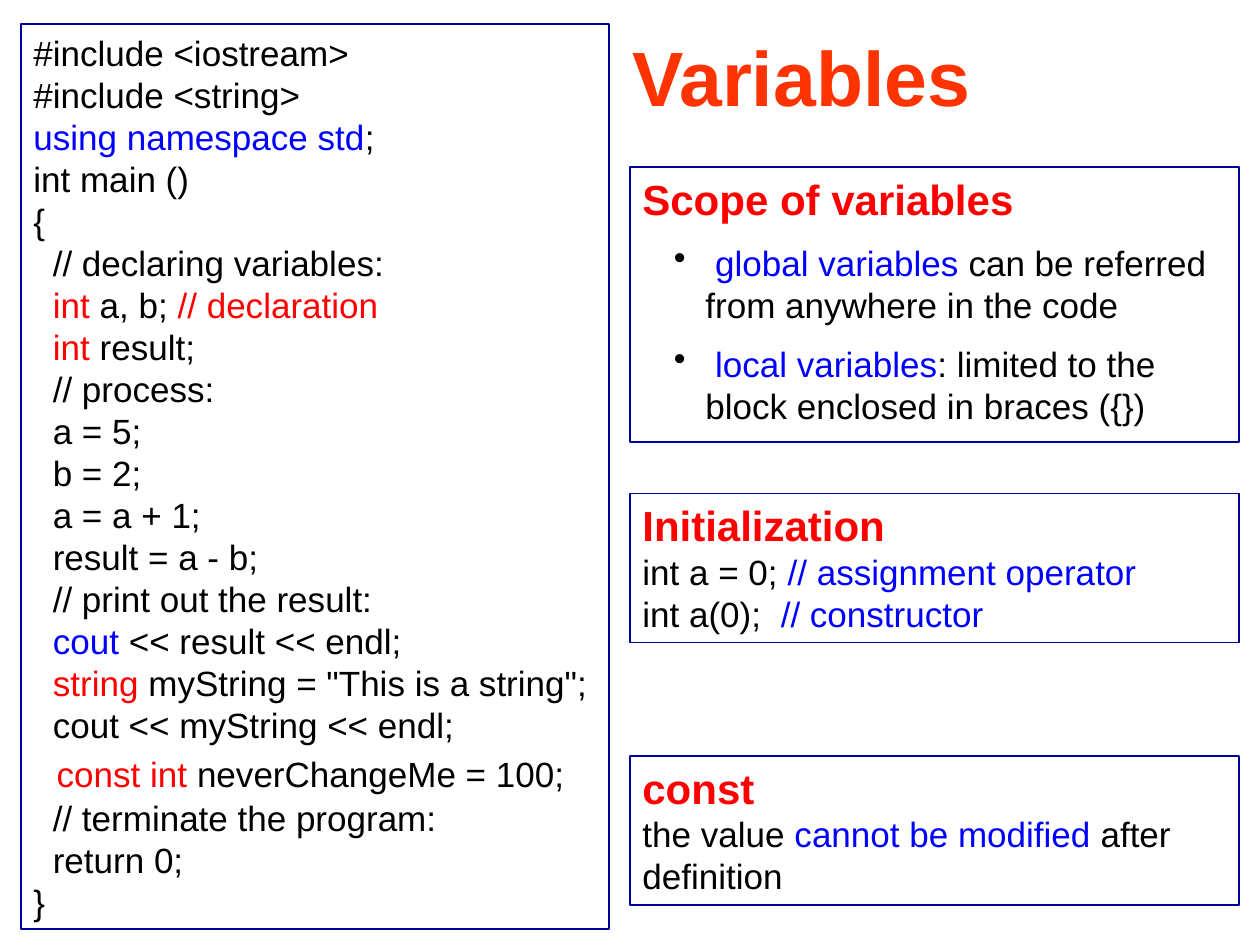
import pptx
import pptx.util
import pptx.dml.color
import pptx.enum.shapes
import pptx.enum.text
import lxml.etree

THEME = {
    "font": "Arial",
    "title": (44, "FF3300", True),
    "heading": (24, "FF0000", True),
    "plain": (20, "000000", False),
    "blue": (20, "0000FF", False),
    "red": (20, "FF0000", False),
    "wide": (24, "000000", False),
    "border": "000099",
}
CELL = pptx.util.Inches(10) / 60  # the slide is a grid of 60 columns by 45 rows
ANCHOR = pptx.enum.text.MSO_ANCHOR


def add_spans(para, spans):
    """Add (text, style) pairs to a paragraph; a bare string is plain text."""
    for item in spans:
        text, style = (item, "plain") if isinstance(item, str) else item
        size, color, bold = THEME[style]
        span = para.add_run()
        span.text = text
        span.font.name = THEME["font"]
        span.font.size = pptx.util.Pt(size)
        span.font.bold = bold
        span.font.color.rgb = pptx.dml.color.RGBColor.from_string(color)


deck = pptx.Presentation()
deck.slide_width = pptx.util.Inches(10)
deck.slide_height = pptx.util.Inches(7.5)
page = deck.slides.add_slide(deck.slide_layouts[5])

title = page.shapes.title
title.left, title.top, title.width, title.height = (
    round(n * CELL) for n in (29.5, 1.5, 26.5, 4.25))
title.text_frame.vertical_anchor = ANCHOR.MIDDLE
title.text_frame.auto_size = pptx.enum.text.MSO_AUTO_SIZE.NONE
title_para = title.text_frame.paragraphs[0]
title_para.alignment = pptx.enum.text.PP_ALIGN.LEFT
add_spans(title_para, [("Variables", "title")])

code = [
    ["#include <iostream>"],
    ["#include <string>"],
    [("using namespace std", "blue"), ";"],
    ["int main ()"],
    ["{"],
    ["  // declaring variables:"],
    [("  int ", "red"), "a, b; ", ("// declaration", "red")],
    [("  int", "red"), " result;"],
    ["  // process:"],
    ["  a = 5;"],
    ["  b = 2;"],
    ["  a = a + 1;"],
    ["  result = a - b;"],
    ["  // print out the result:"],
    [("  cout", "blue"), " << result << endl;"],
    ["  ", ("string", "red"), ' myString = "This is a string";'],
    ["  cout << myString << endl;"],
    [("  ", "wide"), ("const int", "red"), " neverChangeMe = 100;"],
    ["  // terminate the program:"],
    ["  return 0;"],
    ["}"],
]
scope = [
    [("Scope of variables", "heading")],
    [" ", ("global variables", "blue"), " can be referred from anywhere in the code"],
    [" ", ("local variables", "blue"), ": limited to the block enclosed in braces ({})"],
]
initialization = [
    [("Initialization", "heading")],
    ["int a = 0; ", ("// assignment operator", "blue")],
    ["int a(0);  ", ("// constructor", "blue")],
]
const = [
    [("const", "heading")],
    ["the value ", ("cannot be modified", "blue"), " after definition"],
]

# left, top, width, height in grid cells, then anchor, lines and whether bulleted
panels = [
    (1, 1.15, 28, 43.1, ANCHOR.MIDDLE, code, False),
    (30, 7.95, 29, 13.1, ANCHOR.TOP, scope, True),
    (30, 23.5, 29, 7.1, ANCHOR.TOP, initialization, False),
    (30, 36, 29, 7.1, ANCHOR.TOP, const, False),
]
for *area, anchor, lines, bulleted in panels:
    box = page.shapes.add_shape(
        pptx.enum.shapes.MSO_SHAPE.RECTANGLE, *(round(n * CELL) for n in area))
    box.shadow.inherit = False
    box.fill.background()
    box.line.color.rgb = pptx.dml.color.RGBColor.from_string(THEME["border"])
    box.line.width = pptx.util.Pt(1)
    frame = box.text_frame
    frame.word_wrap = True
    frame.vertical_anchor = anchor
    frame.auto_size = pptx.enum.text.MSO_AUTO_SIZE.SHAPE_TO_FIT_TEXT
    for number, spans in enumerate(lines):
        para = frame.add_paragraph() if number else frame.paragraphs[0]
        para.alignment = pptx.enum.text.PP_ALIGN.LEFT
        if bulleted and number:
            para.level = 1
            para.space_before = pptx.util.Pt(10)
            props = para._p.get_or_add_pPr()
            props.set("marL", str(pptx.util.Inches(0.5)))
            props.set("indent", str(-pptx.util.Inches(0.25)))
            bullet = lxml.etree.SubElement(props, pptx.oxml.ns.qn("a:buChar"))
            bullet.set("char", "•")
        add_spans(para, spans)

deck.save("out.pptx")
